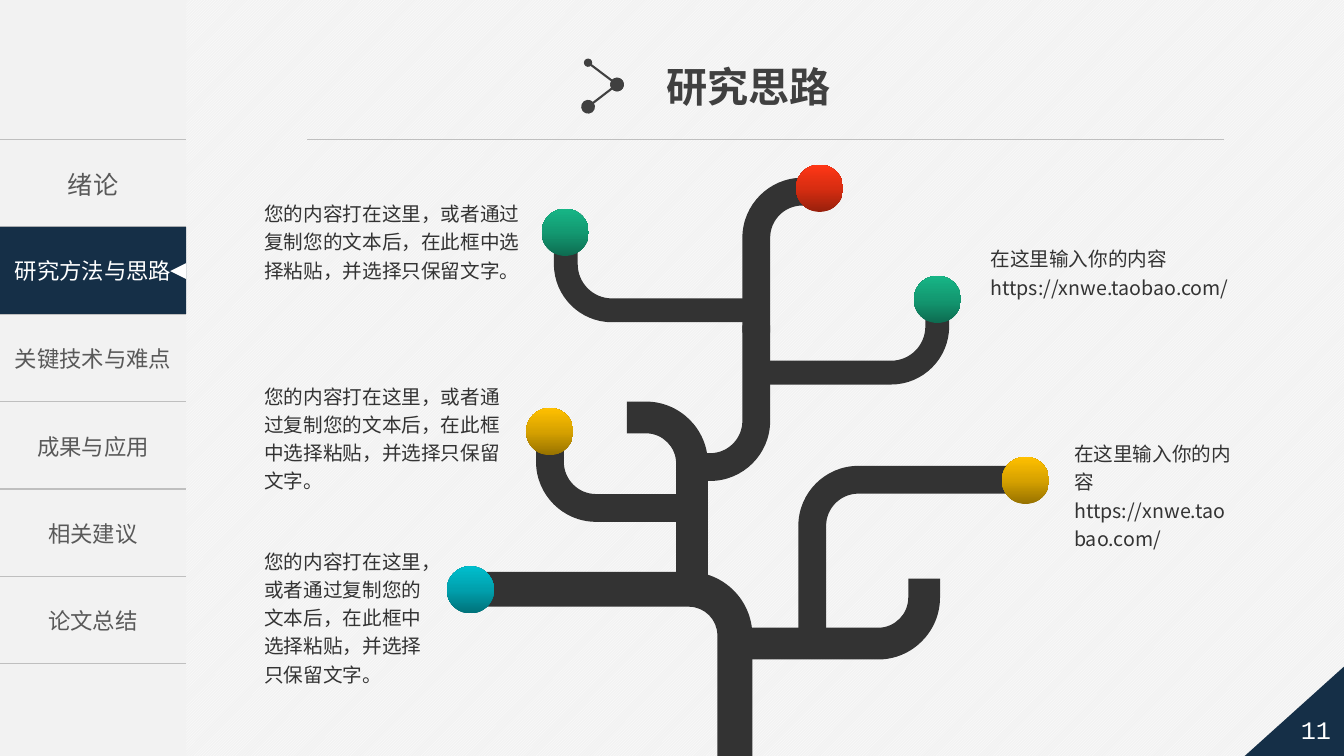
import copy
import math
import pptx
import pptx.dml.color
import pptx.enum.dml
import pptx.enum.shapes
import pptx.enum.text
import pptx.oxml
import pptx.oxml.ns
import pptx.util

Cm = pptx.util.Cm
Pt = pptx.util.Pt
SHAPE = pptx.enum.shapes.MSO_SHAPE
ALIGN = pptx.enum.text.PP_ALIGN
ANCHOR = pptx.enum.text.MSO_ANCHOR
COLORS = {
    "white": "FFFFFF", "pale": "F2F2F2", "rule": "BFBFBF", "navy": "152F47",
    "menu": "595959", "title": "404040", "tree": "333333",
}
BALLS = {
    "teal": ("007179", "00A0AD", "00BECD"),
    "gold": ("977200", "D7A200", "FFC000"),
    "green": ("0D6B50", "139971", "17B586"),
    "red": ("98200C", "D82D11", "FF3716"),
}
FONT = "Noto Sans CJK SC"


def rgb(value):
    return pptx.dml.color.RGBColor.from_string(COLORS.get(value, value))


def node(tag, **attrs):
    item = pptx.oxml.parse_xml(f"<a:{tag} {pptx.oxml.ns.nsdecls('a')}/>")
    for key, value in attrs.items():
        item.set(key, str(value))
    return item


class Deck:
    def __init__(self):
        self.file = pptx.Presentation()
        self.file.slide_width = Cm(33.87)
        self.file.slide_height = Cm(19.05)
        self.slide = self.file.slides.add_slide(self.file.slide_layouts[6])
        self.shapes = self.slide.shapes

    def back(self):
        fill = self.slide.background.fill
        fill.patterned()
        fill.pattern = pptx.enum.dml.MSO_PATTERN.LIGHT_UPWARD_DIAGONAL
        fill.fore_color.rgb = rgb("white")
        fill.back_color.rgb = rgb("pale")

    def style(self, frame, size, color, font=FONT, bold=False, align=ALIGN.LEFT, gap=1):
        for para in frame.paragraphs:
            para.alignment = align
            para.line_spacing = gap
            for run in para.runs:
                run.font.size = Pt(size)
                run.font.bold = bold
                run.font.name = font
                run.font.color.rgb = rgb(color)
                run.font._element.find(pptx.oxml.ns.qn("a:latin")).addnext(
                    node("ea", typeface=FONT))

    def paint(self, shape, color):
        shape.shadow.inherit = False
        shape.fill.solid()
        shape.fill.fore_color.rgb = rgb(color)
        shape.line.fill.background()

    def block(self, kind, left, top, width, height, color):
        shape = self.shapes.add_shape(kind, Cm(left), Cm(top), Cm(width), Cm(height))
        self.paint(shape, color)
        return shape

    def text(self, words, left, top, width, height, size, color, wrap=True, **look):
        box = self.shapes.add_textbox(Cm(left), Cm(top), Cm(width), Cm(height))
        box.text_frame.text = words
        box.text_frame.word_wrap = wrap
        self.style(box.text_frame, size, color, **look)
        return box

    def line(self, start, end, color, width, heads=()):
        link = self.shapes.add_connector(
            pptx.enum.shapes.MSO_CONNECTOR.STRAIGHT,
            Cm(start[0]), Cm(start[1]), Cm(end[0]), Cm(end[1]))
        link.line.color.rgb = rgb(color)
        link.line.width = Pt(width)
        for tag, size in zip(("headEnd", "tailEnd"), heads):
            link.line._get_or_add_ln().append(node(tag, type="oval", w=size, len=size))
        link._element.spPr.append(node("effectLst"))

    def menu(self, names, top, width, step):
        frame = self.shapes.add_table(
            len(names), 1, Cm(0), Cm(top), Cm(width), Cm(step * len(names)))
        table = frame.table
        table.first_row = table.horz_banding = False
        for index, name in enumerate(names):
            table.rows[index].height = Cm(step)
            cell = table.cell(index, 0)
            cell.text = name
            cell.vertical_anchor = ANCHOR.MIDDLE
            self.style(cell.text_frame, 16 if index else 18, "menu", align=ALIGN.CENTER)
            props = cell._tc.get_or_add_tcPr()
            for side in ("lnL", "lnR", "lnT", "lnB"):
                edge = node(side, w=12700)
                if side in ("lnL", "lnR"):
                    edge.append(node("noFill"))
                else:
                    edge.append(node("solidFill"))
                    edge[0].append(node("srgbClr", val=COLORS["rule"]))
                props.append(edge)
            cell.fill.background()

    def branch(self, start, bend, end, width, radius=1.16):
        def toward(point):
            gap = math.dist(point, bend)
            return [(a - b) / gap for a, b in zip(point, bend)]

        u, v = toward(start), toward(end)
        hub = [b + radius * (p + q) for b, p, q in zip(bend, u, v)]

        def edge(shift):
            reach = radius + shift
            return [[s - shift * q for s, q in zip(start, v)],
                    [h - reach * q for h, q in zip(hub, v)],
                    [h - reach * p for h, p in zip(hub, u)],
                    [e - shift * p for e, p in zip(end, u)]]

        outline = edge(width / 2) + edge(-width / 2)[::-1]
        points = [(Cm(x), Cm(y)) for x, y in outline]
        path = self.shapes.build_freeform(*points[0])
        path.add_line_segments(points[1:])
        shape = path.convert_to_shape()
        self.paint(shape, "tree")
        legs = shape._element.xpath(".//a:lnTo")
        for index, flat in ((1, abs(u[0]) > 0.5), (5, abs(v[0]) > 0.5)):
            self.curve(legs[index - 1], legs[index], flat)

    def curve(self, before, leg, flat):
        (ax, ay), (bx, by) = [(int(item[0].get("x")), int(item[0].get("y")))
                              for item in (before, leg)]
        kx, ky = (bx, ay) if flat else (ax, by)
        bow = node("cubicBezTo")
        for x, y in ((ax, ay), (bx, by)):
            bow.append(node("pt", x=round(x + 0.55 * (kx - x)),
                            y=round(y + 0.55 * (ky - y))))
        bow.append(node("pt", x=bx, y=by))
        leg.getparent().replace(leg, bow)

    def ball(self, left, top, tones):
        shape = self.block(SHAPE.OVAL, left, top, 1.19, 1.19, "white")
        shape.fill.gradient()
        shape.fill.gradient_angle = 90
        stops = shape._element.xpath(".//a:gsLst")[0]
        stops.insert(1, copy.deepcopy(stops[0]))
        for stop, tone, place in zip(shape.fill.gradient_stops, tones, (0, 0.5, 1)):
            stop.color.rgb = rgb(tone)
            stop.position = place


def main():
    deck = Deck()
    deck.back()
    deck.block(SHAPE.RECTANGLE, 0, 0, 4.69, 19.05, "pale")
    names = ["绪论", "", "关键技术与难点", "成果与应用", "相关建议", "论文总结"]
    deck.menu(names, 3.52, 4.69, 2.2)
    deck.line((7.74, 3.52), (30.84, 3.52), "rule", 0.5)
    tab = deck.block(SHAPE.RECTANGLE, 0, 5.72, 4.69, 2.19, "navy")
    tab.text_frame.text = "研究方法与思路"
    tab.text_frame.vertical_anchor = ANCHOR.MIDDLE
    deck.style(tab.text_frame, 16, "white", align=ALIGN.CENTER)
    mark = deck.block(SHAPE.ISOSCELES_TRIANGLE, 4.29, 6.63, 0.4, 0.4, "white")
    mark.rotation = 270

    corner = deck.block(SHAPE.RIGHT_TRIANGLE, 31.37, 16.8, 2.5, 2.25, "navy")
    corner._element.spPr.xfrm.set("flipH", "1")
    page = deck.text("11", 32.46, 17.68, 1.41, 1.4, 18, "white", wrap=False,
                     font="Courier New", align=ALIGN.CENTER)
    page.text_frame.vertical_anchor = ANCHOR.MIDDLE

    deck.text("研究思路", 16.54, 1.42, 4.7, 1.5, 29.4, "title", wrap=False,
              font="Arial", bold=True)
    deck.line((14.82, 1.58), (15.55, 2.13), "title", 1.5, ("med", "lg"))
    deck.line((15.55, 2.13), (14.82, 2.69), "title", 1.5, ("lg", "lg"))

    for limb in (
        ((18.52, 19.05), (18.52, 14.85), (11.81, 14.85), 0.88),
        ((18.52, 16.22), (23.29, 16.22), (23.29, 14.58), 0.8),
        ((19.18, 9.39), (23.62, 9.39), (23.62, 7.75), 0.6),
        ((17.44, 14.86), (17.44, 10.52), (15.8, 10.52), 0.8),
        ((20.47, 16.36), (20.47, 12.09), (25.88, 12.09), 0.7),
        ((18.95, 7.82), (14.26, 7.82), (14.26, 6.17), 0.6),
        ((17.42, 12.8), (13.86, 12.8), (13.86, 11.18), 0.7),
        ((17.42, 11.77), (19.06, 11.77), (19.06, 8.2), 0.7),
        ((19.06, 8.38), (19.06, 4.83), (20.7, 4.83), 0.7),
    ):
        deck.branch(*limb)

    for left, top, tone in (
        (11.26, 14.27, "teal"), (13.26, 10.28, "gold"), (25.25, 11.51, "gold"),
        (23.03, 6.95, "green"), (13.65, 5.26, "green"), (20.06, 4.15, "red"),
    ):
        deck.ball(left, top, BALLS[tone])

    paste = "您的内容打在这里，或者通过复制您的文本后，在此框中选择粘贴，并选择只保留文字。"
    enter = "在这里输入你的内容 https://xnwe.taobao.com/"
    for words, left, top, width, height in (
        (paste, 6.41, 13.61, 4.62, 3.84), (paste, 6.41, 9.45, 6.68, 3.12),
        (enter, 26.82, 10.9, 4.52, 3.12), (enter, 24.71, 5.99, 6.63, 2.41),
        (paste, 6.41, 4.85, 7.01, 2.41),
    ):
        deck.text(words, left, top, width, height, 14, "tree", gap=1.2)

    deck.file.save("out.pptx")


if __name__ == "__main__":
    main()
